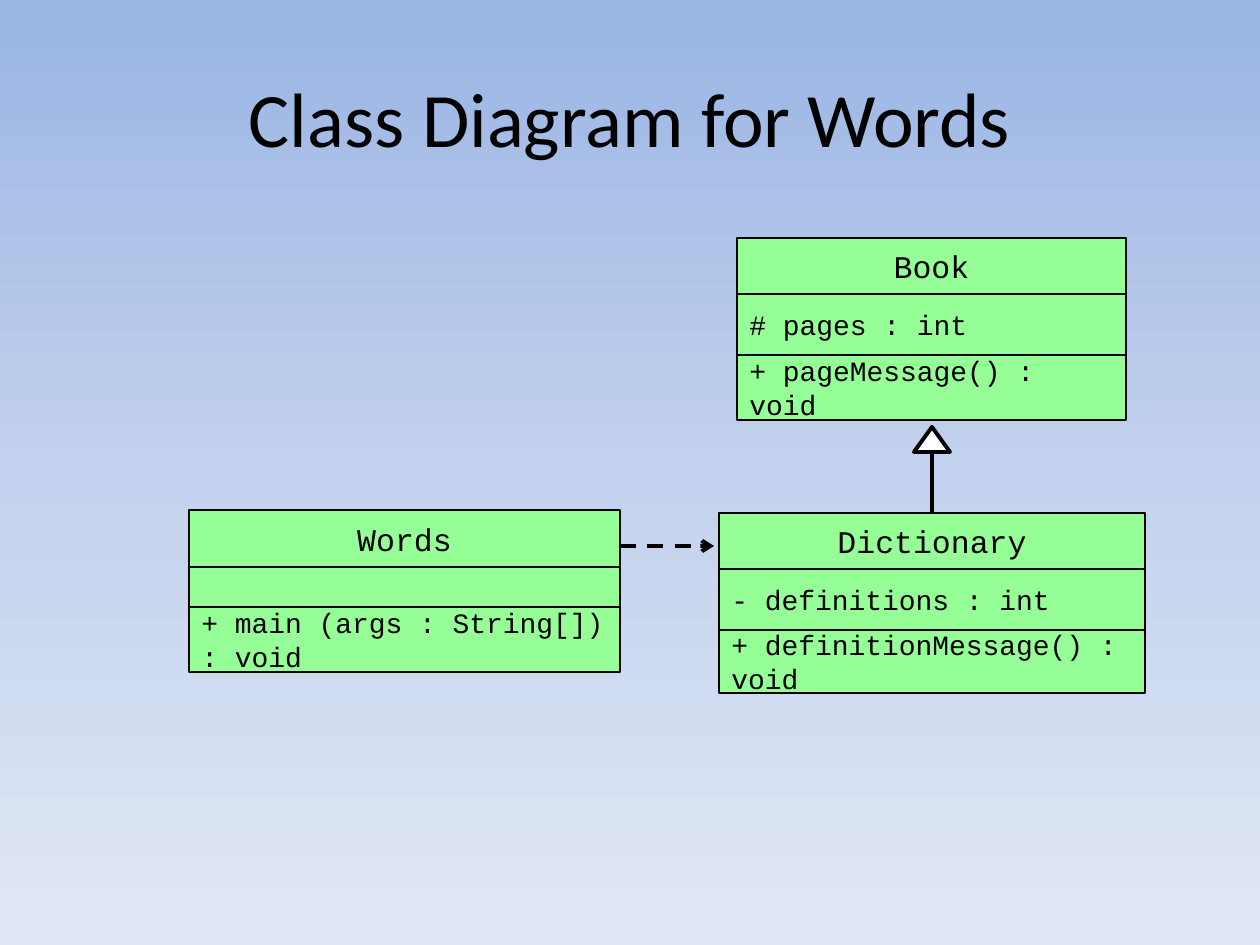
from copy import deepcopy
from dataclasses import dataclass

from lxml import etree
from pptx import Presentation
from pptx.dml.color import RGBColor
from pptx.enum.dml import MSO_LINE
from pptx.enum.shapes import MSO_CONNECTOR, MSO_SHAPE
from pptx.enum.text import MSO_ANCHOR, PP_ALIGN
from pptx.oxml.ns import qn
from pptx.util import Emu, Pt

LEFT, CENTER = PP_ALIGN.LEFT, PP_ALIGN.CENTER
MIDDLE = MSO_ANCHOR.MIDDLE
RECT, TRIANGLE = MSO_SHAPE.RECTANGLE, MSO_SHAPE.ISOSCELES_TRIANGLE
STRAIGHT, DASH = MSO_CONNECTOR.STRAIGHT, MSO_LINE.DASH
PX_PER_INCH = 126


@dataclass(frozen=True)
class Theme:
    sky: tuple = ("9AB5E4", "C2D1ED", "E1E8F5")
    ink: str = "000000"
    box: str = "96FE96"
    head: str = "FFFFFF"
    title_font: str = "Calibri"
    code_font: str = "Courier New"
    title_size: int = 44
    name_size: int = 18
    member_size: int = 16
    border: float = 1
    relation: float = 2.25


THEME = Theme()


def px(n):
    return Emu(round(n * 914400 / PX_PER_INCH))


def rgb(value):
    return RGBColor.from_string(value)


def set_background(s):
    """Vertical gradient with evenly spaced stops."""
    fill = s.background.fill
    fill.gradient()
    fill.gradient_angle = 270
    stop_list = next(s.element.iter(qn("a:gsLst")))
    stop_list.insert(1, deepcopy(stop_list[0]))
    for i, (stop, color) in enumerate(zip(fill.gradient_stops, THEME.sky)):
        stop.color.rgb = rgb(color)
        stop.position = i / (len(THEME.sky) - 1)


def write(sp, text, *, size, font=THEME.code_font, align=LEFT):
    tf = sp.text_frame
    tf.word_wrap = True
    tf.vertical_anchor = MIDDLE
    p = tf.paragraphs[0]
    p.alignment = align
    r = p.add_run()
    r.text = text
    r.font.name = font
    r.font.size = Pt(size)
    r.font.color.rgb = rgb(THEME.ink)


def set_line(sp, width):
    sp.line.color.rgb = rgb(THEME.ink)
    sp.line.width = Pt(width)


def add_shape(s, kind, x, y, w, h, *, fill, width):
    sp = s.shapes.add_shape(kind, px(x), px(y), px(w), px(h))
    sp.shadow.inherit = False
    sp.fill.solid()
    sp.fill.fore_color.rgb = rgb(fill)
    set_line(sp, width)
    return sp


def add_relation(s, x1, y1, x2, y2):
    line = s.shapes.add_connector(STRAIGHT, px(x1), px(y1), px(x2), px(y2))
    set_line(line, THEME.relation)
    etree.SubElement(line._element.spPr, qn("a:effectLst"))
    return line


def add_dependency(s, x1, x2, y):
    """Dashed line with an open arrowhead."""
    line = add_relation(s, x1, y, x2, y)
    line.line.dash_style = DASH
    etree.SubElement(line.line._get_or_add_ln(), qn("a:tailEnd"), type="arrow")


def add_inheritance(s, x, bottom, top):
    """Solid line with a hollow triangle, centred on x."""
    w, h = 36, 25
    add_relation(s, x, bottom, x, top + h // 2)
    add_shape(s, TRIANGLE, x - w / 2, top, w, h,
              fill=THEME.head, width=THEME.relation)


def add_class(s, x, y, w, heights, name, attribute, method):
    """Class box: name, attribute and method compartments, stacked."""
    for text, h in zip((name, attribute, method), heights):
        sp = add_shape(s, RECT, x, y, w, h, fill=THEME.box, width=THEME.border)
        if text:
            is_name = text == name
            write(sp, text, align=CENTER if is_name else LEFT,
                  size=THEME.name_size if is_name else THEME.member_size)
        y += h


def main():
    prs = Presentation()
    prs.slide_width, prs.slide_height = px(1260), px(945)
    s = prs.slides.add_slide(prs.slide_layouts[6])
    set_background(s)

    # Title
    title = s.shapes.add_textbox(px(63), px(38), px(1134), px(157))
    write(title, "Class Diagram for Words", size=THEME.title_size,
          font=THEME.title_font, align=CENTER)

    # Relations, behind the class boxes they start from
    add_dependency(s, 620, 714, 546)
    add_inheritance(s, 932, 522, 427)

    # Classes
    add_class(s, 737, 238, 389, (56, 61, 65),
              "Book", "# pages : int", "+ pageMessage() : void")
    add_class(s, 719, 513, 426, (56, 61, 63),
              "Dictionary", "- definitions : int", "+ definitionMessage() : void")
    add_class(s, 189, 510, 431, (57, 40, 65),
              "Words", "", "+ main (args : String[]) : void")

    prs.save("out.pptx")


if __name__ == "__main__":
    main()
